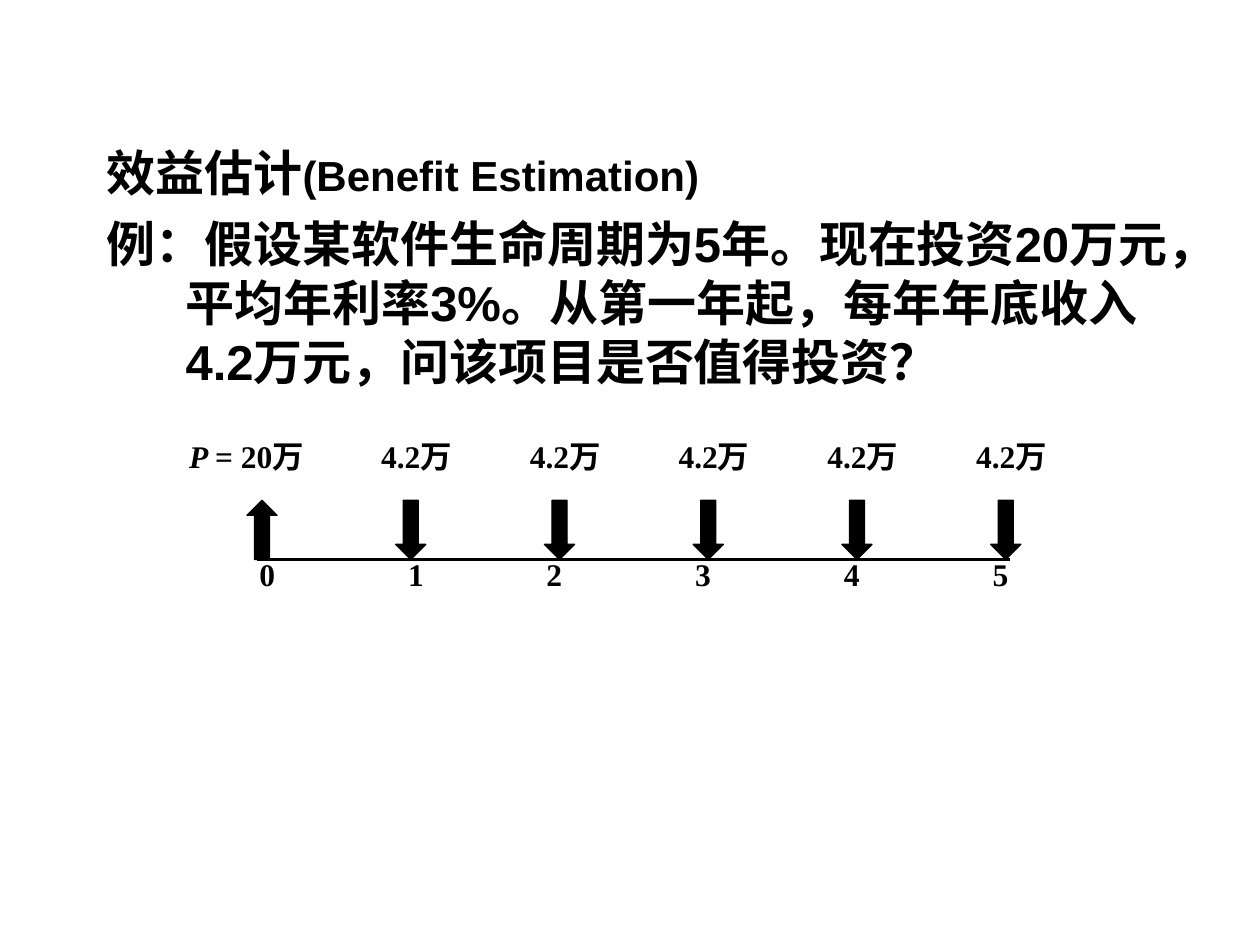
import pptx
import pptx.util
import pptx.dml.color
import pptx.enum.shapes
import pptx.enum.text
import pptx.oxml.ns
import lxml.etree

Pt = pptx.util.Pt
Shape = pptx.enum.shapes.MSO_SHAPE
Align = pptx.enum.text.PP_ALIGN
BLACK = "000000"
STEP = 85
AXIS = 319.7


def paint(color, value):
    color.rgb = pptx.dml.color.RGBColor.from_string(value)


def style(run, size, font):
    run.font.size = Pt(size)
    run.font.name = font
    run.font.bold = True
    paint(run.font.color, BLACK)


def add_box(slide, left, top, width, height):
    box = slide.shapes.add_textbox(Pt(left), Pt(top), Pt(width), Pt(height))
    box.text_frame.word_wrap = True
    return box.text_frame


def add_label(slide, text, left, top, width, height):
    frame = add_box(slide, left, top, width, height)
    frame.text = text
    para = frame.paragraphs[0]
    para.alignment = Align.CENTER
    style(para.runs[0], 18, "Times New Roman")
    return para


def add_arrow(slide, kind, left):
    height = 33.8
    arrow = slide.shapes.add_shape(
        kind, Pt(left), Pt(AXIS - height), Pt(17.2), Pt(height))
    arrow.shadow.inherit = False
    arrow.fill.solid()
    paint(arrow.fill.fore_color, BLACK)
    paint(arrow.line.color, BLACK)
    arrow.line.width = Pt(0.75)


def add_line(slide, start, end):
    line = slide.shapes.add_connector(
        pptx.enum.shapes.MSO_CONNECTOR.STRAIGHT,
        Pt(start), Pt(AXIS), Pt(end), Pt(AXIS))
    paint(line.line.color, BLACK)
    line.line.width = Pt(1.25)
    props = line._element.spPr
    lxml.etree.SubElement(props, pptx.oxml.ns.qn("a:effectLst"))


def add_body(slide):
    frame = add_box(slide, 54, 77.8, 635.8, 149.8)
    frame.text = "效益估计"
    head = frame.paragraphs[0]
    note = head.add_run()
    note.text = "(Benefit Estimation)"
    task = frame.add_paragraph()
    task.text = ("例：假设某软件生命周期为5年。现在投资20万元，平均年利率3%。"
                 "从第一年起，每年年底收入4.2万元，问该项目是否值得投资？")
    task.space_before = Pt(7)
    for para in frame.paragraphs:
        props = para._p.get_or_add_pPr()
        props.set("marL", str(Pt(45)))
        props.set("indent", str(Pt(-45)))
        for run in para.runs:
            style(run, 28, "Arial")
    note.font.size = Pt(24)


def add_flow(slide):
    for year in range(6):
        shift = year * STEP
        kind = Shape.DOWN_ARROW if year else Shape.UP_ARROW
        add_arrow(slide, kind, 141.1 + shift)
        left = 130 if year < 2 else 124
        add_label(slide, str(year), left + shift, 313.9, 45.4, 48.2)
        if year:
            add_label(slide, "4.2万", 90 + shift, 246.2, 126, 46.8)
    add_line(slide, 146.9, 577.4)
    cost = add_label(slide, "P =", 77.8, 246.2, 126, 46.8)
    cost.runs[0].font.italic = True
    sum_run = cost.add_run()
    sum_run.text = " 20万"
    style(sum_run, 18, "Times New Roman")


def main():
    deck = pptx.Presentation()
    deck.slide_width = Pt(720)
    deck.slide_height = Pt(540)
    slide = deck.slides.add_slide(deck.slide_layouts[6])
    add_body(slide)
    add_flow(slide)
    deck.save("out.pptx")


if __name__ == "__main__":
    main()
